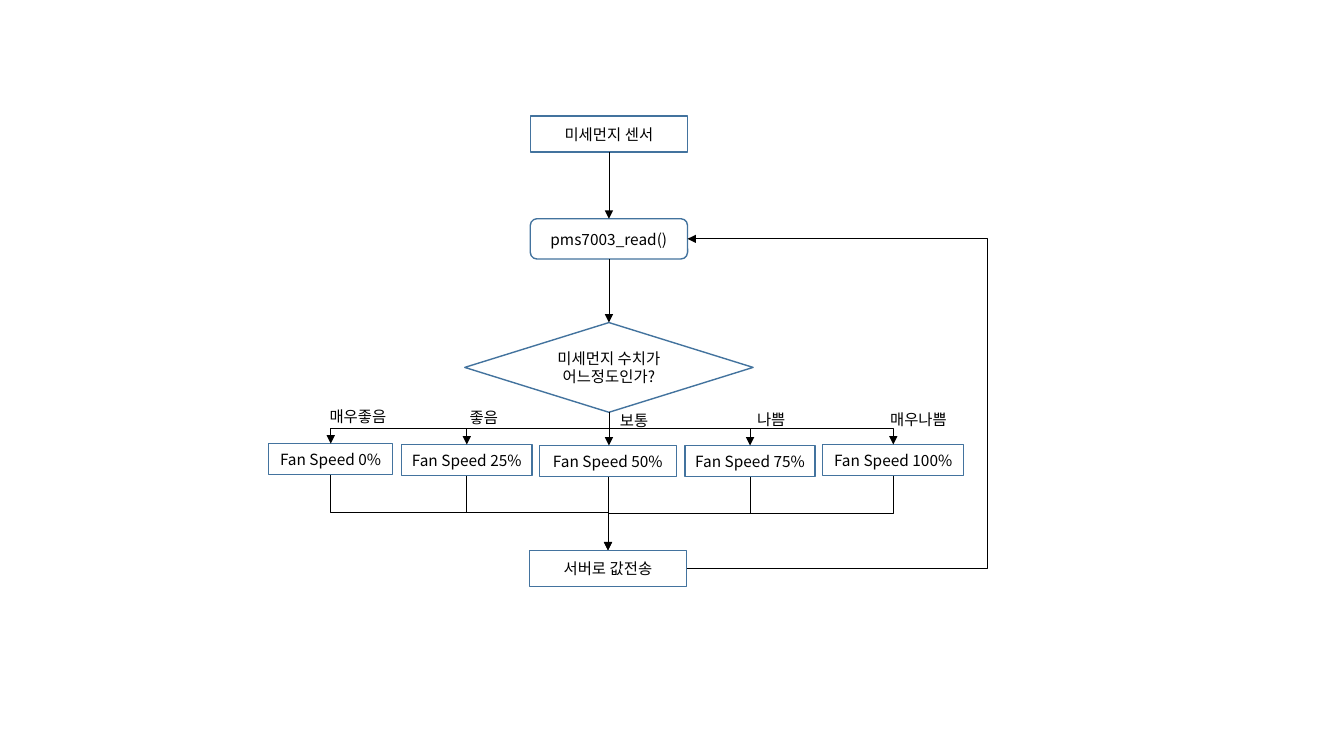
import pptx
import pptx.util
import pptx.dml.color
import pptx.enum.shapes
import pptx.enum.text
import pptx.oxml.ns
import lxml.etree

SLIDE_WIDTH = pptx.util.Inches(13.33)
SLIDE_HEIGHT = pptx.util.Inches(7.5)
COLUMN = SLIDE_WIDTH / 1333
ROW = SLIDE_HEIGHT / 750

WHITE = pptx.dml.color.RGBColor(0xFF, 0xFF, 0xFF)
BLACK = pptx.dml.color.RGBColor(0x00, 0x00, 0x00)
BLUE = pptx.dml.color.RGBColor(0x43, 0x73, 0x9E)

FONT_NAME = "Noto Sans CJK KR"
FONT_FORMAT = {"name": FONT_NAME, "size": pptx.util.Pt(11)}
SHAPES = pptx.enum.shapes.MSO_SHAPE
CONNECTORS = pptx.enum.shapes.MSO_CONNECTOR
QUALIFY = pptx.oxml.ns.qn

BRANCHES = [
    ("매우좋음", 51, 0, 82, "Fan Speed 0%", 62, 41, 123),
    ("좋음", 190, 1, 51, "Fan Speed 25%", 197, 42, 129),
    ("보통", 339, 4, 51, "Fan Speed 50%", 337, 43, 136),
    ("나쁨", 475, 3, 51, "Fan Speed 75%", 478, 43, 129),
    ("매우나쁨", 607, 3, 83, "Fan Speed 100%", 620, 42, 140),
]
MIDDLE = 2
BRANCH_HEIGHT = 31


def to_columns(count):
    return round(count * COLUMN)


def to_rows(count):
    return round(count * ROW)


def measure(left, top, width, height):
    return to_columns(left), to_rows(top), to_columns(width), to_rows(height)


def write(shape, text, alignment, frame_format):
    frame = shape.text_frame
    for name, value in frame_format.items():
        setattr(frame, name, value)
    paragraph = frame.paragraphs[0]
    paragraph.alignment = alignment
    run = paragraph.add_run()
    run.text = text
    for name, value in FONT_FORMAT.items():
        setattr(run.font, name, value)
    run.font.color.rgb = BLACK
    properties = run._r.get_or_add_rPr()
    lxml.etree.SubElement(properties, QUALIFY("a:ea")).set("typeface", FONT_NAME)


def add_step(slide, kind, text, *box):
    shape = slide.shapes.add_shape(kind, *measure(*box))
    shape.shadow.inherit = False
    shape.fill.solid()
    shape.fill.fore_color.rgb = WHITE
    shape.line.color.rgb = BLUE
    shape.line.width = pptx.util.Pt(1)
    write(shape, text, pptx.enum.text.PP_ALIGN.CENTER,
          {"word_wrap": True, "vertical_anchor": pptx.enum.text.MSO_ANCHOR.MIDDLE})


def add_answer(slide, text, *box):
    label = slide.shapes.add_textbox(*measure(*box))
    write(label, text, pptx.enum.text.PP_ALIGN.LEFT,
          {"word_wrap": False, "auto_size": pptx.enum.text.MSO_AUTO_SIZE.SHAPE_TO_FIT_TEXT})


def add_link(slide, start, end, kind=CONNECTORS.STRAIGHT, arrow=True):
    connector = slide.shapes.add_connector(
        kind, to_columns(start[0]), to_rows(start[1]), to_columns(end[0]), to_rows(end[1]))
    connector.line.color.rgb = BLACK
    connector.line.width = pptx.util.Pt(0.5)
    properties = connector._element.spPr
    if arrow:
        line = properties.find(QUALIFY("a:ln"))
        lxml.etree.SubElement(line, QUALIFY("a:tailEnd")).set("type", "triangle")
    lxml.etree.SubElement(properties, QUALIFY("a:effectLst"))
    return properties


def add_vertical_elbow(slide, start, end):
    middle_x, middle_y = (start[0] + end[0]) / 2, (start[1] + end[1]) / 2
    side = 1 if end[0] > start[0] else -1
    half_width = abs(end[0] - start[0]) / 2
    half_height = (end[1] - start[1]) / 2
    properties = add_link(
        slide,
        (middle_x + side * half_height, middle_y - half_width),
        (middle_x - side * half_height, middle_y + half_width),
        CONNECTORS.ELBOW)
    turn = 270 if side > 0 else 90
    properties.find(QUALIFY("a:xfrm")).set("rot", str(turn * 60000))


def add_return_elbow(slide, start, end, far_x):
    properties = add_link(slide, start, end, CONNECTORS.ELBOW)
    share = round((far_x - start[0]) / (end[0] - start[0]) * 100000)
    adjustments = properties.find(QUALIFY("a:prstGeom")).get_or_add_avLst()
    guide = lxml.etree.SubElement(adjustments, QUALIFY("a:gd"))
    guide.set("name", "adj1")
    guide.set("fmla", f"val {share}")


def draw_reading(slide, left, top, width, height):
    axis = left + width / 2
    steps = [
        (SHAPES.RECTANGLE, "미세먼지 센서", 0, 156, 36),
        (SHAPES.ROUNDED_RECTANGLE, "pms7003_read()", 102, 156, 40),
        (SHAPES.FLOWCHART_DECISION, "미세먼지 수치가 어느정도인가?", height - 89, width, 89),
    ]
    for kind, text, offset, step_width, step_height in steps:
        add_step(slide, kind, text, axis - step_width / 2, top + offset, step_width, step_height)
    for upper, lower in zip(steps, steps[1:]):
        add_link(slide, (axis, top + upper[2] + upper[4]), (axis, top + lower[2]))


def draw_branches(slide, left, top, width, height):
    fork = (left + width / 2 - 7, top + 10)
    merge = (left + BRANCHES[MIDDLE][5], top + height)
    fork_bus, merge_bus = top + 26, top + 110
    for index, branch in enumerate(BRANCHES):
        answer, label_x, label_y, label_width, speed, axis, offset, step_width = branch
        axis += left
        step_top = top + offset
        step_bottom = step_top + BRANCH_HEIGHT
        add_answer(slide, answer, left + label_x, top + label_y, label_width, 29)
        add_step(slide, SHAPES.RECTANGLE, speed,
                 axis - step_width / 2, step_top, step_width, BRANCH_HEIGHT)
        if index in (0, len(BRANCHES) - 1):
            add_vertical_elbow(slide, fork, (axis, step_top))
            add_vertical_elbow(slide, (axis, step_bottom), merge)
        else:
            drop = fork[0] if index == MIDDLE else axis
            add_link(slide, (drop, fork_bus), (drop, step_top))
            add_link(slide, (axis, step_bottom), (axis, merge_bus), arrow=False)


def draw_sending(slide, left, top, width, height):
    step_width, step_height = 156, 36
    step_top = top + height - step_height
    add_step(slide, SHAPES.RECTANGLE, "서버로 값전송", left, step_top, step_width, step_height)
    add_return_elbow(slide, (left + step_width, step_top + step_height / 2),
                     (left + step_width + 1, top), left + width)


def main():
    presentation = pptx.Presentation()
    presentation.slide_width = SLIDE_WIDTH
    presentation.slide_height = SLIDE_HEIGHT
    slide = presentation.slides.add_slide(presentation.slide_layouts[6])
    draw_reading(slide, 461, 115, 286, 294)
    draw_branches(slide, 266, 399, 690, 147)
    draw_sending(slide, 525, 237, 459, 345)
    presentation.save("out.pptx")


main()
